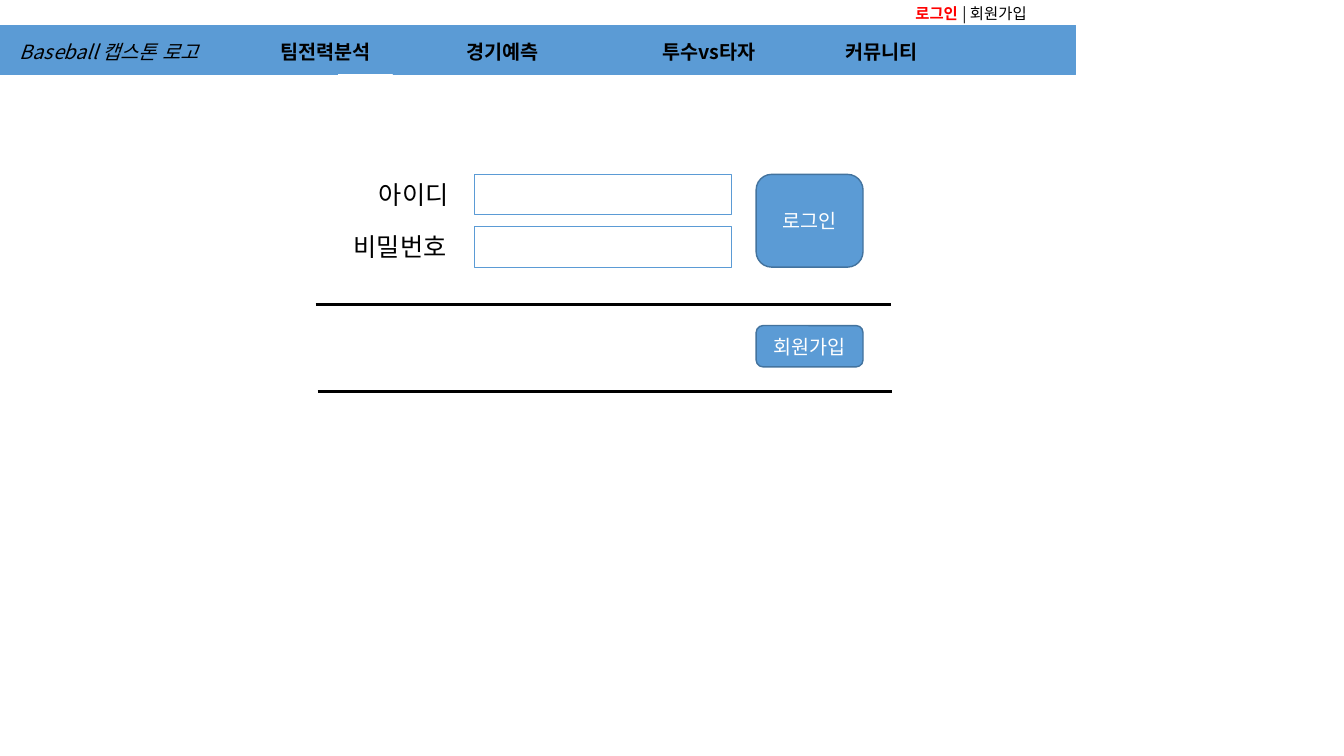
"""Build the login page slide of a baseball analysis site."""
from dataclasses import dataclass
from typing import Optional

import pptx
import pptx.dml.color
import pptx.enum.dml
import pptx.enum.lang
import pptx.enum.shapes
import pptx.enum.text
import pptx.oxml.ns
import pptx.shapes.autoshape
import pptx.slide
import pptx.text.text
import pptx.util
from lxml import etree

Inches = pptx.util.Inches
Shape = pptx.enum.shapes.MSO_SHAPE


@dataclass(frozen=True)
class Theme:
    font: str = "Noto Sans CJK KR"
    white: str = "FFFFFF"
    black: str = "000000"
    red: str = "FF0000"
    blue: str = "5B9BD5"
    edge: str = "43739E"
    small: float = 11
    medium: float = 14
    large: float = 18


THEME = Theme()


@dataclass(frozen=True)
class Span:
    text: str
    size: float = THEME.medium
    color: str = THEME.black
    bold: bool = False
    italic: bool = False


@dataclass(frozen=True)
class Label:
    left: float
    top: float
    width: float
    height: float
    spans: tuple[Span, ...]
    wrap: bool = True


@dataclass(frozen=True)
class Panel:
    left: float
    top: float
    width: float
    height: float
    fill: Optional[str]
    line: str
    line_width: float = 1
    caption: str = ""


@dataclass(frozen=True)
class Rule:
    left: float
    right: float
    top: float


PAGE_WIDTH = 10.67
MENU_TOP, MENU_HEIGHT, MENU_WIDTH = 0.35, 0.34, 1.32
FIELD_HEIGHT = 0.4
BUTTON_LEFT, BUTTON_WIDTH = 7.5, 1.06

HEADER_PANELS = (
    Panel(0, 0, PAGE_WIDTH, 0.24, THEME.white, THEME.white),
    Panel(0, 0.25, PAGE_WIDTH, 0.49, THEME.blue, THEME.blue),
    Panel(3.36, 0.74, 0.53, 0.4, None, THEME.white),
)
ACCOUNT_LINKS = Label(8.98, -0.01, 1.69, 0.29, (
    Span("로그인 ", THEME.small, THEME.red, bold=True),
    Span("| 회원가입", THEME.small),
))
SITE_NAME = Label(0.1, MENU_TOP, 2.06, MENU_HEIGHT,
                  (Span("Baseball 캡스톤 로고", italic=True),))
MENU = {"팀전력분석": 2.68, "경기예측": 4.53, "투수vs타자": 6.47, "커뮤니티": 8.29}
FIELD_LABELS = (
    Label(3.66, 1.73, 0.96, FIELD_HEIGHT, (Span("아이디", THEME.large),), wrap=False),
    Label(3.41, 2.25, 1.21, FIELD_HEIGHT, (Span("비밀번호", THEME.large),), wrap=False),
)
BUTTONS = (
    Panel(BUTTON_LEFT, 1.73, BUTTON_WIDTH, 0.92, THEME.blue, THEME.edge, caption="로그인"),
    Panel(BUTTON_LEFT, 3.23, BUTTON_WIDTH, 0.41, THEME.blue, THEME.edge, caption="회원가입"),
)
RULES = (Rule(3.13, 8.84, 3.02), Rule(3.15, 8.85, 3.88))


def rgb(value: str) -> pptx.dml.color.RGBColor:
    """Turn a hex string into a colour."""
    return pptx.dml.color.RGBColor.from_string(value)


def add_span(para: pptx.text.text._Paragraph, span: Span) -> None:
    """Add one formatted run to a paragraph."""
    run = para.add_run()
    run.text = span.text
    formats = {
        "name": THEME.font,
        "size": pptx.util.Pt(span.size),
        "bold": span.bold,
        "italic": span.italic,
        "language_id": pptx.enum.lang.MSO_LANGUAGE_ID.KOREAN,
    }
    for name, value in formats.items():
        setattr(run.font, name, value)
    run.font.color.rgb = rgb(span.color)
    east_asian = etree.SubElement(run._r.get_or_add_rPr(), pptx.oxml.ns.qn("a:ea"))
    east_asian.set("typeface", THEME.font)


def add_label(page: pptx.slide.Slide, label: Label) -> None:
    """Add a text box with its spans on one line."""
    box = page.shapes.add_textbox(Inches(label.left), Inches(label.top),
                                  Inches(label.width), Inches(label.height))
    box.text_frame.word_wrap = label.wrap
    box.text_frame.auto_size = pptx.enum.text.MSO_AUTO_SIZE.SHAPE_TO_FIT_TEXT
    for span in label.spans:
        add_span(box.text_frame.paragraphs[0], span)


def add_panel(page: pptx.slide.Slide, panel: Panel) -> None:
    """Add a rectangle, rounded when it carries a caption."""
    kind = Shape.ROUNDED_RECTANGLE if panel.caption else Shape.RECTANGLE
    box = page.shapes.add_shape(kind, Inches(panel.left), Inches(panel.top),
                                Inches(panel.width), Inches(panel.height))
    box.shadow.inherit = False
    if panel.fill is None:
        box.fill.background()
    else:
        box.fill.solid()
        box.fill.fore_color.rgb = rgb(panel.fill)
    box.line.color.rgb = rgb(panel.line)
    box.line.width = pptx.util.Pt(panel.line_width)
    if panel.caption:
        box.text_frame.vertical_anchor = pptx.enum.text.MSO_ANCHOR.MIDDLE
        para = box.text_frame.paragraphs[0]
        para.alignment = pptx.enum.text.PP_ALIGN.CENTER
        add_span(para, Span(panel.caption, color=THEME.white))


def add_rule(page: pptx.slide.Slide, rule: Rule) -> None:
    """Add a horizontal dividing line."""
    line = page.shapes.add_connector(
        pptx.enum.shapes.MSO_CONNECTOR.STRAIGHT,
        Inches(rule.left), Inches(rule.top), Inches(rule.right), Inches(rule.top))
    line.line.color.rgb = rgb(THEME.black)
    line.line.width = pptx.util.Pt(2.25)
    etree.SubElement(line._element.spPr, pptx.oxml.ns.qn("a:effectLst"))


def main() -> None:
    """Draw the header and the login form, then save the deck."""
    deck = pptx.Presentation()
    deck.slide_width, deck.slide_height = Inches(13.33), Inches(7.5)
    page = deck.slides.add_slide(deck.slide_layouts.get_by_name("Blank"))
    for panel in HEADER_PANELS:
        add_panel(page, panel)
    add_label(page, ACCOUNT_LINKS)
    add_label(page, SITE_NAME)
    for text, left in MENU.items():
        add_label(page, Label(left, MENU_TOP, MENU_WIDTH, MENU_HEIGHT,
                              (Span(text, bold=True),)))
    for label in FIELD_LABELS:
        add_label(page, label)
        add_panel(page, Panel(4.71, label.top, 2.55, FIELD_HEIGHT,
                              THEME.white, THEME.blue, line_width=0.75))
    for button, rule in zip(BUTTONS, RULES):
        add_panel(page, button)
        add_rule(page, rule)
    deck.save("out.pptx")


if __name__ == "__main__":
    main()
